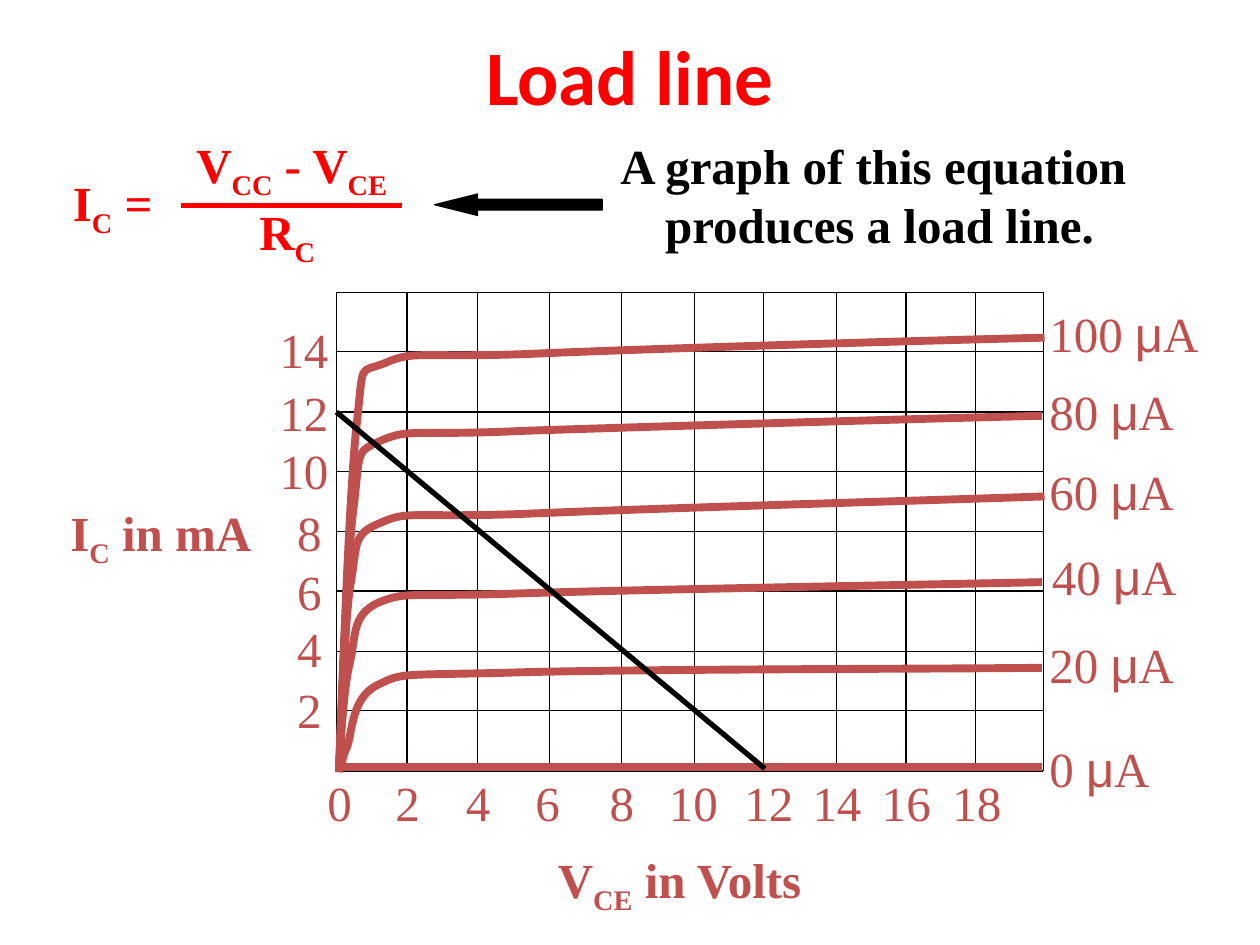
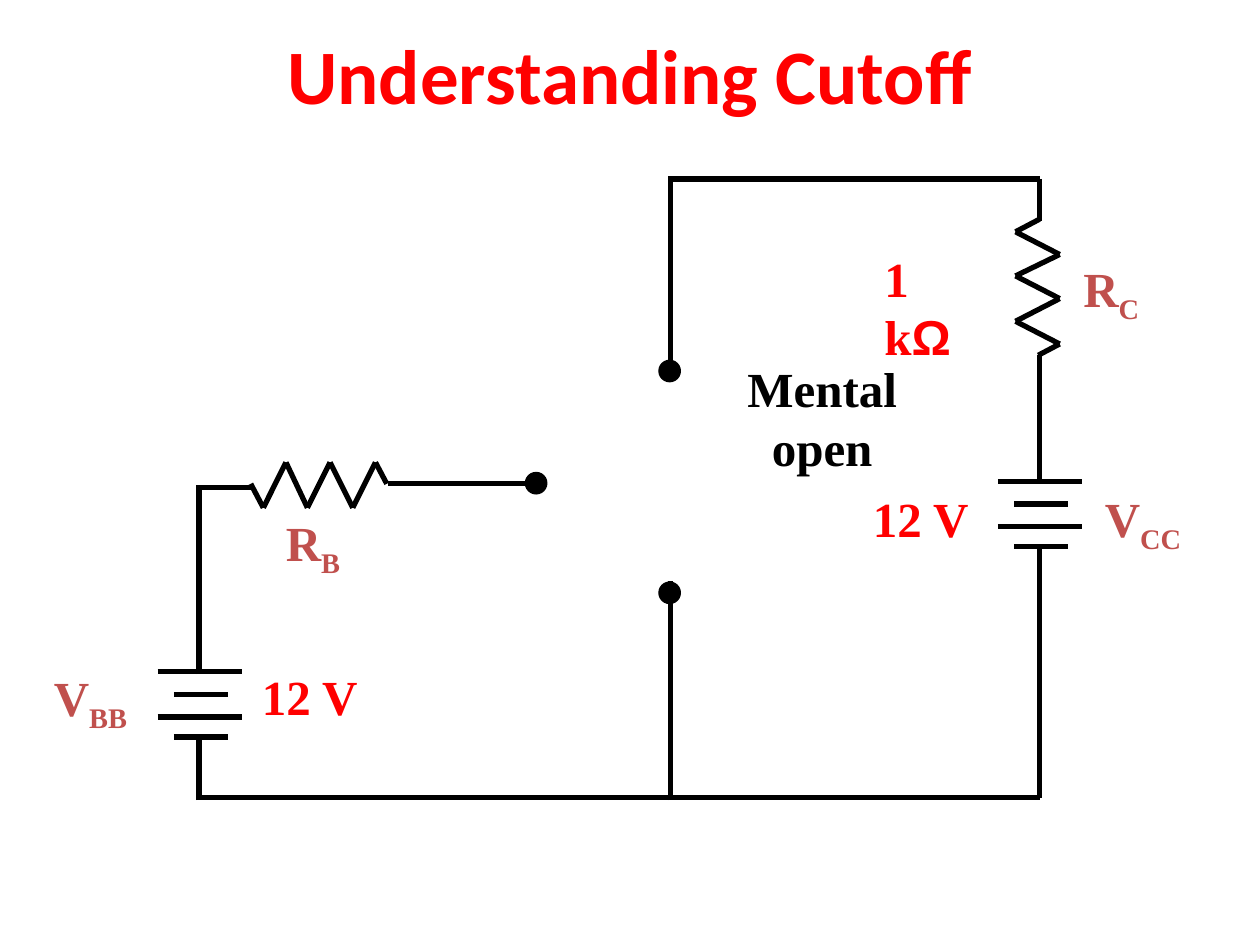
from itertools import groupby

from lxml.etree import SubElement
from pptx import Presentation
from pptx.dml.color import RGBColor
from pptx.enum.shapes import MSO_CONNECTOR, MSO_SHAPE
from pptx.enum.text import MSO_ANCHOR, MSO_AUTO_SIZE, PP_ALIGN
from pptx.oxml.ns import qn
from pptx.util import Pt

PX = 9144  # 100 px to the inch
RED = RGBColor(0xFF, 0x00, 0x00)
BRICK = RGBColor(0xC0, 0x50, 0x4D)
BLACK = RGBColor(0x00, 0x00, 0x00)
WHITE = RGBColor(0xFF, 0xFF, 0xFF)

PLAIN = {"name": "Times New Roman", "size": Pt(28), "bold": False}
BOLD = {**PLAIN, "bold": True}
TITLE = {"name": "Calibri", "size": Pt(44), "bold": True}


def write(slide, box, text, color, style=BOLD, align=PP_ALIGN.LEFT, wrap=False):
    """Add text; parts between bars are subscripts, Greek letters use Arial."""
    frame = slide.shapes.add_textbox(*[n * PX for n in box]).text_frame
    frame.word_wrap = wrap
    frame.auto_size = MSO_AUTO_SIZE.NONE if wrap else MSO_AUTO_SIZE.SHAPE_TO_FIT_TEXT
    frame.vertical_anchor = MSO_ANCHOR.MIDDLE if style is TITLE else MSO_ANCHOR.TOP
    for i, row in enumerate(text.split("\n")):
        para = frame.add_paragraph() if i else frame.paragraphs[0]
        para.alignment = align
        for j, part in enumerate(row.split("|")):
            for greek, chars in groupby(part, lambda c: c in "μΩ"):
                run = para.add_run()
                run.text = "".join(chars)
                for key, value in style.items():
                    setattr(run.font, key, value)
                run.font.color.rgb = color
                if greek:
                    run.font.name = "Arial"
                if j % 2:
                    run.font._element.set("baseline", "-25000")


def line(slide, start, end, color=BLACK, width=3):
    wire = slide.shapes.add_connector(
        MSO_CONNECTOR.STRAIGHT, *[n * PX for n in (*start, *end)])
    wire.line.color.rgb = color
    wire.line.width = Pt(width)
    SubElement(wire._element.spPr, qn("a:effectLst"))


deck = Presentation()
deck.slide_width, deck.slide_height = 1000 * PX, 750 * PX
blank = deck.slide_layouts[6]

# ---- Slide 1: load line ----
load = deck.slides.add_slide(blank)

# Axis numbers
for i, x in enumerate([250, 304, 360, 415, 474, 521, 581, 635, 690, 746]):
    write(load, (x, 608, 40 if i < 5 else 59, 57), str(2 * i), BRICK, PLAIN)
for i, y in enumerate([534, 486, 441, 394, 345, 299, 249], 1):
    box = (226, y, 40, 57) if i < 5 else (212, y, 59, 57)
    write(load, box, str(2 * i), BRICK, PLAIN)

# Axis names
write(load, (433, 669, 223, 57), "V|CE| in Volts", BRICK)
write(load, (46, 394, 167, 57), "I|C| in mA", BRICK)

# Grid
for i in range(9):
    y = 232 + 95 * i // 2
    line(load, (267, y), (828, y), width=0.75)
for x in [267, 323, 379, 436, 493, 551, 606, 664, 719, 774, 828]:
    line(load, (x, 232), (x, 612), width=0.75)

# Base current curves: start point, then three Bezier points per segment
curves = [
    [(271, 611), (272, 608), (270, 605), (275, 594), (280, 583), (278, 555),
     (299, 544), (320, 534), (312, 536), (400, 534), (488, 531), (738, 531), (827, 530)],
    [(269, 613), (270, 599), (272, 551), (277, 529), (283, 506), (278, 488),
     (301, 478), (323, 469), (324, 474), (412, 471), (500, 468), (741, 464), (827, 462)],
    [(269, 611), (271, 587), (273, 498), (278, 465), (284, 432), (279, 424),
     (302, 415), (324, 405), (325, 411), (413, 408), (501, 404), (742, 397), (829, 394)],
    [(269, 611), (271, 576), (275, 443), (281, 400), (286, 356), (282, 359),
     (304, 349), (326, 340), (328, 346), (415, 342), (502, 339), (741, 332), (827, 330)],
    [(269, 609), (271, 564), (277, 392), (283, 338), (289, 284), (284, 297),
     (306, 288), (329, 278), (331, 284), (418, 281), (505, 277), (743, 270), (829, 268)],
]
line(load, (269, 609), (827, 609), BRICK, 4.5)
for start, *rest in curves:
    pen = load.shapes.build_freeform(*start, scale=PX)
    pen.add_line_segments(rest, close=False)
    curve = pen.convert_to_shape()
    curve.shadow.inherit = False
    curve.fill.background()
    curve.line.color.rgb = BRICK
    curve.line.width = Pt(4.5)
    # Turn each three straight steps into one Bezier segment
    steps = list(curve._element.iter(qn("a:lnTo")))
    track = steps[0].getparent()
    for i in range(0, len(steps), 3):
        bend = SubElement(track, qn("a:cubicBezTo"))
        for step in steps[i:i + 3]:
            bend.append(step[0])
            track.remove(step)

# Curve labels
labels = [(823, 581, 100), (823, 499, 119), (825, 429, 119),
          (823, 361, 119), (823, 298, 119), (823, 236, 139)]
for i, (x, y, wide) in enumerate(labels):
    write(load, (x, y, wide, 57), f"{20 * i} μA", BRICK, PLAIN)

# Load line
line(load, (267, 327), (607, 610))

# Equation
write(load, (48, 132, 86, 57), "I|C| =", RED)
write(load, (146, 102, 184, 57), "V|CC| - V|CE|", RED)
write(load, (196, 155, 67, 57), "R|C|", RED)
line(load, (144, 163), (319, 163), RED)

# Remark with arrow
write(load, (481, 103, 434, 103),
      "A graph of this equation \nproduces a load line.", BLACK, align=PP_ALIGN.CENTER)
arrow = load.shapes.add_shape(
    MSO_SHAPE.LEFT_ARROW, 345 * PX, 154 * PX, 133 * PX, 17 * PX)
arrow.adjustments[1] = 2
arrow.shadow.inherit = False
arrow.fill.solid()
arrow.fill.fore_color.rgb = arrow.line.color.rgb = BLACK
arrow.line.width = Pt(0.75)

write(load, (50, 17, 900, 84), "Load line", RED, TITLE, PP_ALIGN.CENTER, True)

# ---- Slide 2: cutoff ----
cut = deck.slides.add_slide(blank)

# Resistors
coil = [(825, 174), (806, 184), (841, 202), (806, 219),
        (841, 237), (806, 255), (841, 273), (824, 282)]
base = [(199, 384), (209, 403), (227, 367), (244, 403),
        (262, 367), (280, 403), (298, 367), (307, 384)]
for zigzag in (coil, base):
    for start, end in zip(zigzag, zigzag[1:]):
        line(cut, start, end)

# Batteries
for x, y in [(792, 382), (125, 533)]:
    for inset, drop, wide in [(0, 0, 67), (13, 18, 43), (0, 36, 67), (13, 52, 43)]:
        line(cut, (x + inset, y + drop), (x + inset + wide, y + drop))

# Wires
wires = [
    ((825, 282), (825, 382)), ((825, 142), (533, 142)), ((825, 142), (825, 175)),
    ((158, 633), (825, 633)), ((158, 635), (158, 585)), ((825, 433), (825, 633)),
    ((158, 535), (158, 385)), ((158, 387), (200, 387)), ((488, 384), (308, 384)),
    ((532, 323), (532, 140)), ((532, 635), (532, 445)),
]
for start, end in wires:
    line(cut, start, end)

# Part names and values
for box, text, color in [
    ((867, 383, 86, 57), "V|CC|", BRICK),
    ((850, 200, 67, 57), "R|C|", BRICK),
    ((217, 402, 66, 57), "R|B|", BRICK),
    ((33, 525, 83, 57), "V|BB|", BRICK),
    ((198, 524, 97, 57), "12 V", RED),
    ((683, 383, 97, 57), "12 V", RED),
]:
    write(cut, box, text, color)
write(cut, (692, 192, 90, 103), "1 kΩ", RED, wrap=True)
write(cut, (583, 280, 139, 103), "Mental\nopen", BLACK, align=PP_ALIGN.CENTER)

# Gap in place of the transistor, with its three open ends
for kind, box, color in [
    (MSO_SHAPE.RECTANGLE, (432, 303, 150, 158), WHITE),
    (MSO_SHAPE.OVAL, (523, 462, 17, 17), BLACK),
    (MSO_SHAPE.OVAL, (417, 375, 17, 17), BLACK),
    (MSO_SHAPE.OVAL, (523, 286, 17, 17), BLACK),
]:
    spot = cut.shapes.add_shape(kind, *[n * PX for n in box])
    spot.shadow.inherit = False
    spot.fill.solid()
    spot.fill.fore_color.rgb = color
    if color == WHITE:
        spot.line.fill.background()
    else:
        spot.line.color.rgb = color
        spot.line.width = Pt(0.75)

write(cut, (50, 12, 900, 93), "Understanding Cutoff", RED, TITLE, PP_ALIGN.CENTER, True)

deck.save("out.pptx")
